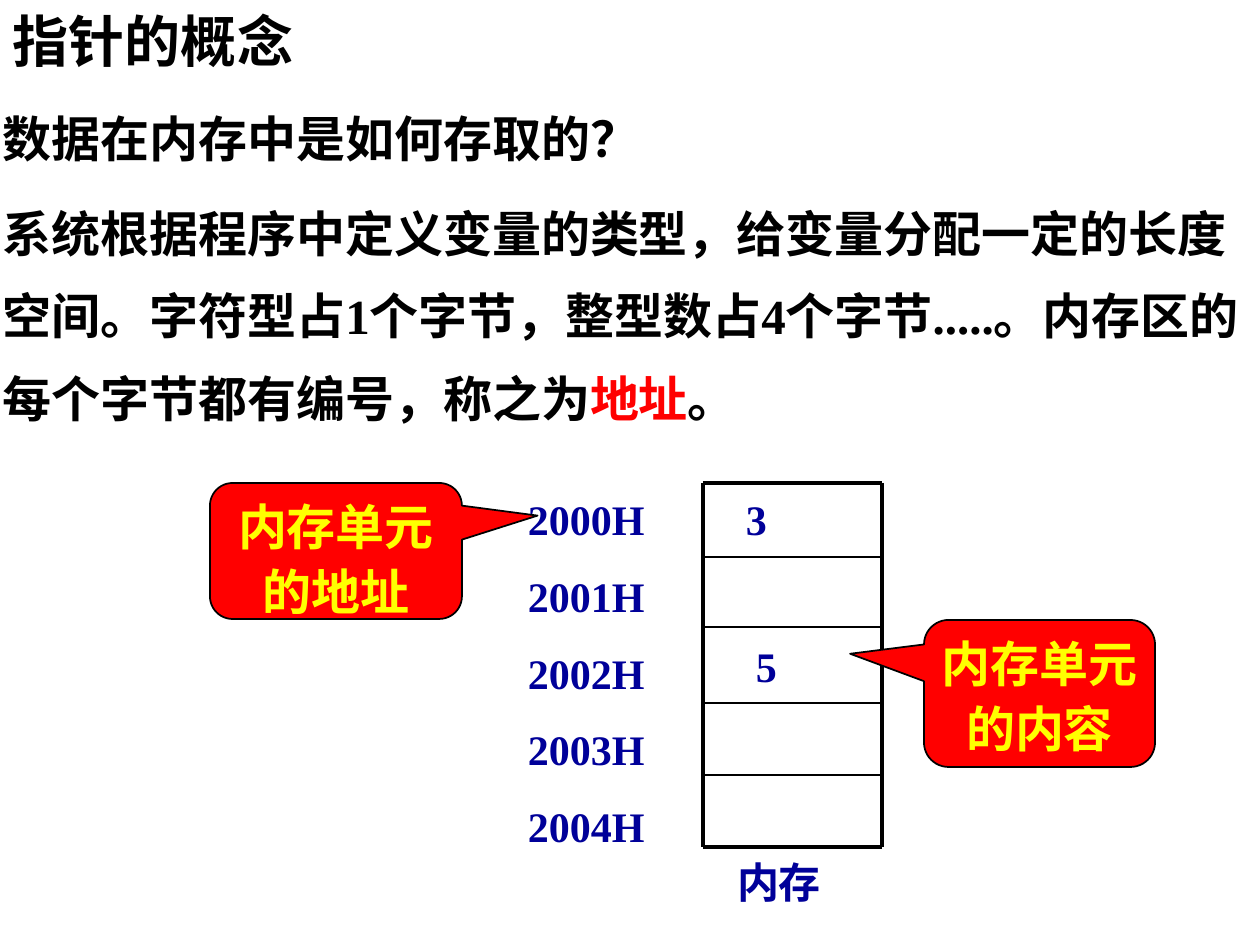
from pptx import Presentation
from pptx.dml.color import RGBColor
from pptx.enum.shapes import MSO_CONNECTOR, MSO_SHAPE
from pptx.enum.text import MSO_ANCHOR, MSO_AUTO_SIZE, PP_ALIGN
from pptx.oxml.ns import qn
from pptx.util import Emu, Pt
from lxml.etree import SubElement

BLACK = RGBColor(0x00, 0x00, 0x00)
RED = RGBColor(0xFF, 0x00, 0x00)
YELLOW = RGBColor(0xFF, 0xFF, 0x00)
NAVY = RGBColor(0x00, 0x00, 0x99)
FONT = "Times New Roman"

MEMORY_LEFT, MEMORY_RIGHT = 703, 882
ROW_EDGES = [483, 557, 627, 703, 775, 847]
FIRST_ADDRESS, CELL_COUNT = 2000, len(ROW_EDGES) - 1


def px(length):
    return Emu(round(length * 914400 / 126))


def box(*lengths):
    return [px(length) for length in lengths]


def set_margins(text_frame, horizontal, vertical):
    text_frame.margin_left = text_frame.margin_right = px(horizontal)
    text_frame.margin_top = text_frame.margin_bottom = px(vertical)


def style_run(run, size, color):
    run.font.name = FONT
    run.font.size = Pt(size)
    run.font.bold = True
    run.font.color.rgb = color


def add_text(shapes, bounds, lines, size, color, margins=(3, 1), spacing=None):
    """Add a text box with one paragraph per line and return its frame."""
    text_frame = shapes.add_textbox(*box(*bounds)).text_frame
    text_frame.word_wrap = True
    text_frame.auto_size = MSO_AUTO_SIZE.SHAPE_TO_FIT_TEXT
    set_margins(text_frame, *margins)
    text_frame.text = "\n".join(lines)
    for index, paragraph in enumerate(text_frame.paragraphs):
        if index:
            paragraph.space_before = Pt(15)
        if spacing:
            paragraph.line_spacing = spacing
        style_run(paragraph.runs[0], size, color)
    return text_frame


def add_line(shapes, start, end, width):
    line = shapes.add_connector(MSO_CONNECTOR.STRAIGHT, *box(*start, *end))
    line.line.color.rgb = BLACK
    line.line.width = Pt(width)
    SubElement(line._element.spPr, qn("a:effectLst"))


def add_callout(shapes, bounds, pointer, text):
    """Add a rounded callout; pointer is its tip relative to the centre."""
    shape = shapes.add_shape(MSO_SHAPE.ROUNDED_RECTANGULAR_CALLOUT, *box(*bounds))
    shape.shadow.inherit = False
    shape.adjustments[0], shape.adjustments[1] = pointer
    shape.fill.solid()
    shape.fill.fore_color.rgb = RED
    shape.line.color.rgb = BLACK
    shape.line.width = Pt(1)
    text_frame = shape.text_frame
    text_frame.word_wrap = True
    text_frame.vertical_anchor = MSO_ANCHOR.TOP
    set_margins(text_frame, 3, 1)
    text_frame.text = text
    paragraph = text_frame.paragraphs[0]
    paragraph.alignment = PP_ALIGN.CENTER
    paragraph.line_spacing = 1.1
    style_run(paragraph.runs[0], 28, YELLOW)


def add_memory(shapes):
    """Draw the memory cells with their addresses and contents."""
    top, bottom = ROW_EDGES[0], ROW_EDGES[-1]
    for y in ROW_EDGES:
        width = 2.25 if y in (top, bottom) else 1
        add_line(shapes, (MEMORY_LEFT, y), (MEMORY_RIGHT, y), width)
    for x in (MEMORY_LEFT, MEMORY_RIGHT):
        add_line(shapes, (x, top), (x, bottom), 2.25)

    addresses = [f"{FIRST_ADDRESS + cell}H" for cell in range(CELL_COUNT)]
    add_text(shapes, (525, 494, 136, 357), addresses, 24, NAVY, (3, 0))
    for left, y, value in ((746, 494, "3"), (756, 641, "5")):
        add_text(shapes, (left, y, 53, 50), [value], 24, NAVY, (0, 0))
    add_text(shapes, (724, 851, 147, 63), ["内存"], 24, NAVY, (13, 6))


def main():
    presentation = Presentation()
    presentation.slide_width = px(1260)
    presentation.slide_height = px(945)
    slide = presentation.slides.add_slide(presentation.slide_layouts[6])
    shapes = slide.shapes

    add_text(shapes, (0, 0, 330, 81), ["指针的概念"], 32, BLACK, (13, 6))
    add_text(shapes, (0, 84, 1260, 86), ["数据在内存中是如何存取的？"], 28, BLACK,
             spacing=1.4)
    explanation = add_text(
        shapes, (0, 179, 1260, 249),
        ["系统根据程序中定义变量的类型，给变量分配一定的长度空间。"
         "字符型占1个字节，整型数占4个字节.....。"
         "内存区的每个字节都有编号，称之为"],
        28, BLACK, spacing=1.4)
    for text, color in (("地址", RED), ("。", BLACK)):
        run = explanation.paragraphs[0].add_run()
        run.text = text
        style_run(run, 28, color)

    add_memory(shapes.add_group_shape().shapes)
    add_callout(shapes, (210, 483, 252, 136), (0.8, -0.26), "内存单元的地址")
    add_callout(shapes, (924, 620, 231, 147), (-0.82, -0.27), "内存单元的内容")
    presentation.save("out.pptx")


if __name__ == "__main__":
    main()
